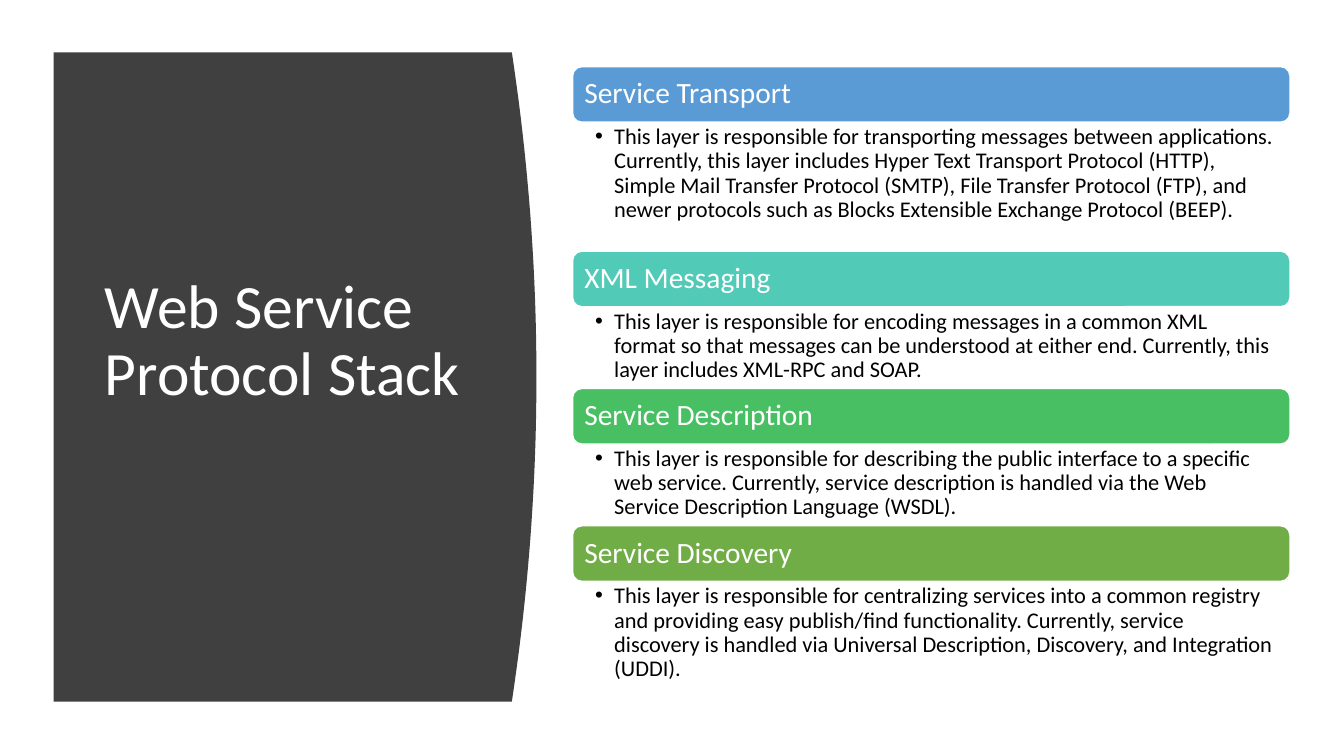
from lxml.etree import SubElement
from pptx import Presentation
from pptx.dml.color import RGBColor
from pptx.enum.shapes import MSO_SHAPE
from pptx.enum.text import MSO_ANCHOR, MSO_AUTO_SIZE, PP_ALIGN
from pptx.oxml.ns import qn
from pptx.util import Cm, Pt

COLORS = {
    "panel": "404040", "white": "FFFFFF", "black": "000000",
    "blue": "5B9BD5", "teal": "52CAB8", "green": "49BF64", "olive": "70AD47",
}
LAYERS = [
    ("Service Transport", "blue", 3.25,
     "This layer is responsible for transporting messages between applications. "
     "Currently, this layer includes Hyper Text Transport Protocol (HTTP), Simple Mail "
     "Transfer Protocol (SMTP), File Transfer Protocol (FTP), and newer protocols such "
     "as Blocks Extensible Exchange Protocol (BEEP)."),
    ("XML Messaging", "teal", 2.06,
     "This layer is responsible for encoding messages in a common XML format so that "
     "messages can be understood at either end. Currently, this layer includes XML-RPC "
     "and SOAP."),
    ("Service Description", "green", 2.06,
     "This layer is responsible for describing the public interface to a specific web "
     "service. Currently, service description is handled via the Web Service "
     "Description Language (WSDL)."),
    ("Service Discovery", "olive", 2.67,
     "This layer is responsible for centralizing services into a common registry and "
     "providing easy publish/find functionality. Currently, service discovery is "
     "handled via Universal Description, Discovery, and Integration (UDDI)."),
]
LEFT, TOP, WIDTH, HEADER = 14.43, 1.68, 18.08, 1.4


class Deck:
    """Hold the style and the current slide."""

    font = "Calibri"

    def __init__(self, prs):
        """Add a title-only slide."""
        self.s = prs.slides.add_slide(prs.slide_layouts[5])

    def color(self, name):
        """Return a named colour."""
        return RGBColor.from_string(COLORS[name])

    def apply(self, obj, formats):
        """Set attributes from a dict."""
        for name, value in formats.items():
            setattr(obj, name, value)

    def add_text(self, sp, text, size, color, margins, anchor, bullet=False):
        """Fill a shape with one formatted paragraph."""
        tf = sp.text_frame
        self.apply(tf, {"word_wrap": True, "auto_size": MSO_AUTO_SIZE.NONE,
                        "vertical_anchor": anchor})
        sides = ("margin_left", "margin_top", "margin_right", "margin_bottom")
        self.apply(tf, dict(zip(sides, map(Cm, margins))))
        p = tf.paragraphs[0]
        if bullet:
            pPr = p._p.get_or_add_pPr()
            pPr.set("marL", str(Cm(0.48)))
            pPr.set("indent", str(Cm(-0.48)))
            SubElement(pPr, qn("a:buFont")).set("typeface", "Arial")
            SubElement(pPr, qn("a:buChar")).set("char", "•")
        self.apply(p, {"alignment": PP_ALIGN.LEFT, "line_spacing": 0.9})
        r = p.add_run()
        r.text = text
        self.apply(r.font, {"name": self.font, "size": Pt(size)})
        r.font.color.rgb = self.color(color)

    def paint(self, sp, fill):
        """Give a shape a flat fill."""
        sp.shadow.inherit = False
        sp.fill.solid()
        sp.fill.fore_color.rgb = self.color(fill)

    def panel(self, left, top, edge, bottom, bulge, steps=40):
        """Draw a panel with a bowed right side behind the title."""
        bow = []
        for i in range(steps + 1):
            t = i / steps
            bow.append((Cm(edge + bulge * 4 * t * (1 - t)),
                        Cm(top + (bottom - top) * t)))
        fb = self.s.shapes.build_freeform(Cm(left), Cm(top))
        fb.add_line_segments(bow + [(Cm(left), Cm(bottom))], close=True)
        sp = fb.convert_to_shape()
        self.paint(sp, "panel")
        sp.line.fill.background()
        self.s.shapes._spTree.insert(2, sp._element)

    def title(self, text, left, top, width, height):
        """Move and format the title placeholder."""
        sp = self.s.shapes.title
        self.apply(sp, {"left": Cm(left), "top": Cm(top),
                        "width": Cm(width), "height": Cm(height)})
        self.add_text(sp, text, 44, "white", (0.25, 0.13, 0.25, 1.83), MSO_ANCHOR.MIDDLE)

    def header(self, text, fill, top):
        """Draw a rounded bar with a layer name."""
        sp = self.s.shapes.add_shape(MSO_SHAPE.ROUNDED_RECTANGLE, Cm(LEFT), Cm(top),
                                     Cm(WIDTH), Cm(HEADER))
        self.paint(sp, fill)
        sp.line.color.rgb = self.color("white")
        sp.line.width = Pt(1)
        self.add_text(sp, text, 21, "white", (0.23,) * 4, MSO_ANCHOR.MIDDLE)

    def body(self, text, top, height):
        """Add the bulleted description of a layer."""
        sp = self.s.shapes.add_textbox(Cm(LEFT), Cm(top), Cm(WIDTH), Cm(height))
        self.add_text(sp, text, 16, "black", (0.57, 0.08, 0.4, 0.08), MSO_ANCHOR.TOP, True)


def main():
    """Build and save the slide."""
    prs = Presentation()
    prs.slide_width, prs.slide_height = Cm(33.87), Cm(19.05)
    deck = Deck(prs)
    deck.panel(1.35, 1.32, 12.9, 17.68, 0.62)
    deck.title("Web Service Protocol Stack", 2.39, 2.82, 9.5, 13.31)
    top = TOP
    for name, fill, height, text in LAYERS:
        deck.header(name, fill, top)
        deck.body(text, top + HEADER, height)
        top += HEADER + height
    prs.save("out.pptx")


if __name__ == "__main__":
    main()
